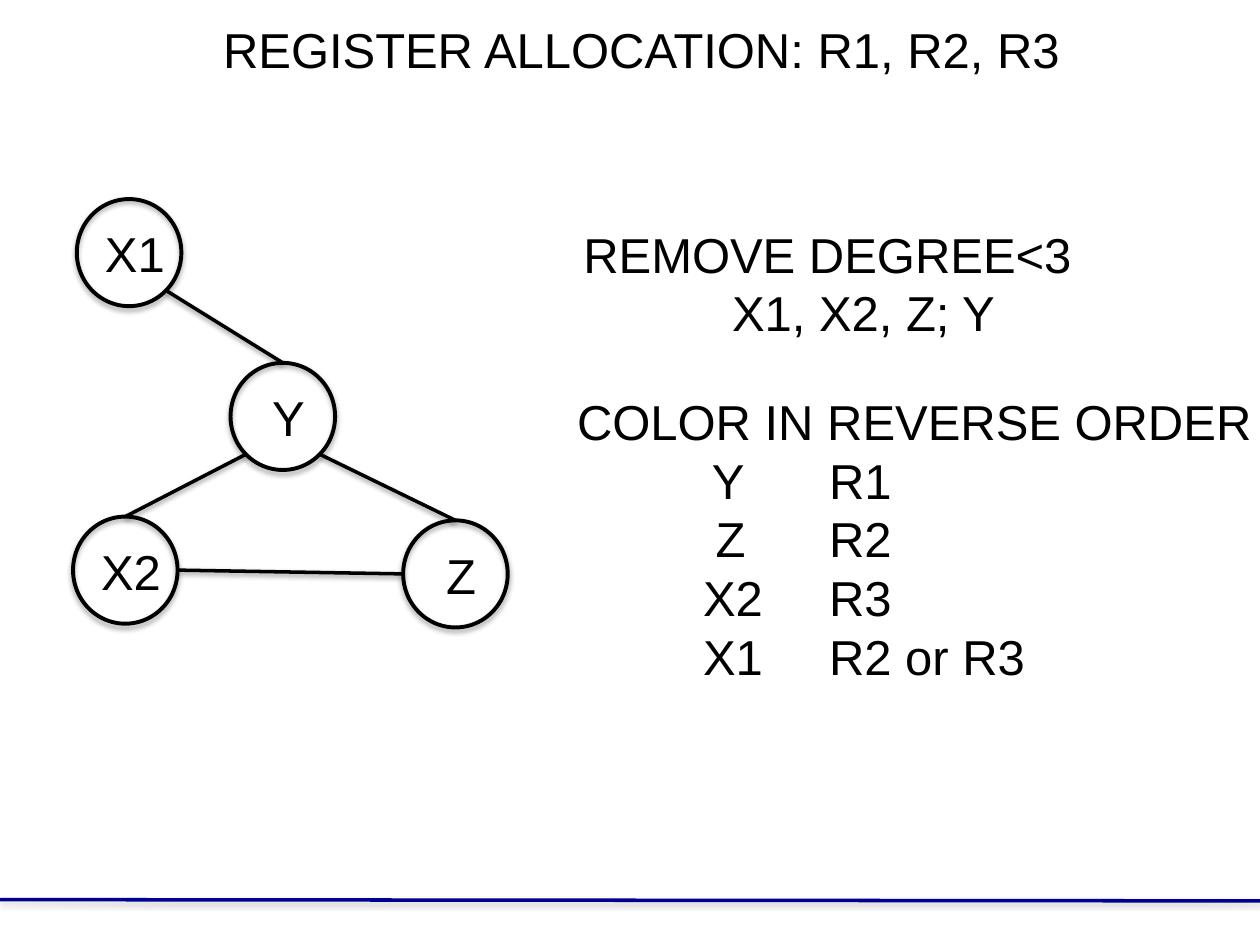
import math
from dataclasses import dataclass

import lxml.etree
import pptx
import pptx.dml.color
import pptx.enum.shapes
import pptx.enum.text
import pptx.oxml.ns
import pptx.util

Inches = pptx.util.Inches
Pt = pptx.util.Pt
RGBColor = pptx.dml.color.RGBColor
qn = pptx.oxml.ns.qn
Align = pptx.enum.text.PP_ALIGN

BLACK = RGBColor(0x00, 0x00, 0x00)
GRAY = RGBColor(0x80, 0x80, 0x80)
NAVY = RGBColor(0x00, 0x00, 0x90)

NODE_WIDTH, NODE_HEIGHT = 0.83, 0.85
FONT_FORMAT = {"name": "Arial", "size": Pt(28), "bold": False}
PARAGRAPH_FORMAT = {"line_spacing": Pt(33.5), "space_before": Pt(0), "space_after": Pt(0)}
FRAME_FORMAT = {
    "auto_size": pptx.enum.text.MSO_AUTO_SIZE.NONE,
    "vertical_anchor": pptx.enum.text.MSO_ANCHOR.TOP,
    "margin_left": Inches(0.1),
    "margin_right": Inches(0.1),
    "margin_top": Inches(0.05),
    "margin_bottom": Inches(0.05),
}


@dataclass
class Node:
    label: str
    left: float
    top: float

    def site(self, degrees: float) -> tuple[float, float]:
        angle = math.radians(degrees)
        return (
            self.left + NODE_WIDTH / 2 * (1 + math.cos(angle)),
            self.top + NODE_HEIGHT / 2 * (1 - math.sin(angle)),
        )


@dataclass
class Edge:
    start: tuple[float, float]
    end: tuple[float, float]
    color: RGBColor = BLACK
    shadow_color: RGBColor = BLACK


@dataclass
class Line:
    text: str
    margin: float = 0
    first_indent: float = 0


@dataclass
class Assignment:
    variable: str
    register: str
    first_indent: float = 0

    def line(self) -> Line:
        return Line(f"{self.variable}\t\t{self.register}", 1, self.first_indent)


def apply_format(target, values: dict) -> None:
    for attribute, value in values.items():
        setattr(target, attribute, value)


def add_shadow(shape, color: RGBColor, opacity: int, distance: float) -> None:
    effects = lxml.etree.SubElement(shape._element.spPr, qn("a:effectLst"))
    shadow = lxml.etree.SubElement(
        effects, qn("a:outerShdw"), blurRad=str(Pt(3.1)), dist=str(Pt(distance)),
        dir="5400000", rotWithShape="0")
    tint = lxml.etree.SubElement(shadow, qn("a:srgbClr"), val=str(color))
    lxml.etree.SubElement(tint, qn("a:alpha"), val=str(opacity * 1000))


def write_lines(shape, lines: list[Line], alignment=Align.LEFT, wrap: bool = True) -> None:
    frame = shape.text_frame
    apply_format(frame, FRAME_FORMAT | {"word_wrap": wrap})
    for index, line in enumerate(lines):
        paragraph = frame.add_paragraph() if index else frame.paragraphs[0]
        properties = paragraph._p.get_or_add_pPr()
        properties.set("marL", str(Inches(line.margin)))
        properties.set("indent", str(Inches(line.first_indent)))
        lxml.etree.SubElement(properties, qn("a:buNone"))
        apply_format(paragraph, PARAGRAPH_FORMAT | {"alignment": alignment})
        run = paragraph.add_run()
        run.text = line.text
        apply_format(run.font, FONT_FORMAT)
        run.font.color.rgb = BLACK


def fill_placeholder(placeholder, box: tuple[float, ...], lines: list[Line]) -> None:
    bounds = zip(("left", "top", "width", "height"), map(Inches, box))
    apply_format(placeholder, dict(bounds))
    write_lines(placeholder, lines)


def draw_edge(slide, edge: Edge) -> None:
    connector = slide.shapes.add_connector(
        pptx.enum.shapes.MSO_CONNECTOR.STRAIGHT, *map(Inches, edge.start + edge.end))
    connector.line.color.rgb = edge.color
    connector.line.width = Pt(2)
    add_shadow(connector, edge.shadow_color, 38, 1.6)


def draw_node(slide, node: Node) -> None:
    circle = slide.shapes.add_shape(
        pptx.enum.shapes.MSO_SHAPE.OVAL,
        *map(Inches, (node.left, node.top, NODE_WIDTH, NODE_HEIGHT)))
    circle.fill.background()
    circle.line.color.rgb = BLACK
    circle.line.width = Pt(2.25)
    add_shadow(circle, BLACK, 35, 1.8)
    label = slide.shapes.add_textbox(
        *map(Inches, (node.left + 0.12, node.top + 0.15, 0.68, 0.57)))
    write_lines(label, [Line(node.label)], Align.CENTER, wrap=False)


def main() -> None:
    deck = pptx.Presentation()
    deck.slide_width, deck.slide_height = Inches(10), Inches(7.5)
    slide = deck.slides.add_slide(deck.slide_layouts.get_by_name("Two Content"))
    title, removal, coloring = slide.placeholders

    draw_edge(slide, Edge((0, 7.14), (10, 7.15), NAVY, GRAY))

    x1 = Node("X1", 0.61, 1.58)
    x2 = Node("X2", 0.58, 4.1)
    y = Node("Y", 1.83, 2.88)
    z = Node("Z", 3.2, 4.13)
    for node in (x1, x2, y, z):
        draw_node(slide, node)
    for edge in (
        Edge(x1.site(-45), y.site(90)),
        Edge(x2.site(90), y.site(225)),
        Edge(z.site(90), y.site(-45)),
        Edge(x2.site(0), z.site(180)),
    ):
        draw_edge(slide, edge)

    fill_placeholder(title, (1.67, 0.11, 6.91, 0.57),
                     [Line("REGISTER ALLOCATION: R1, R2, R3")])
    fill_placeholder(removal, (4.53, 1.73, 4.34, 1.04),
                     [Line("REMOVE DEGREE<3"), Line("X1, X2, Z; Y", margin=1.18)])
    assignments = (
        Assignment("Y", "R1", first_indent=0.07),
        Assignment("Z", "R2", first_indent=0.1),
        Assignment("X2", "R3"),
        Assignment("X1", "R2 or R3"),
    )
    fill_placeholder(coloring, (4.48, 3.06, 5.61, 2.46),
                     [Line("COLOR IN REVERSE ORDER")]
                     + [assignment.line() for assignment in assignments])
    deck.save("out.pptx")


if __name__ == "__main__":
    main()
